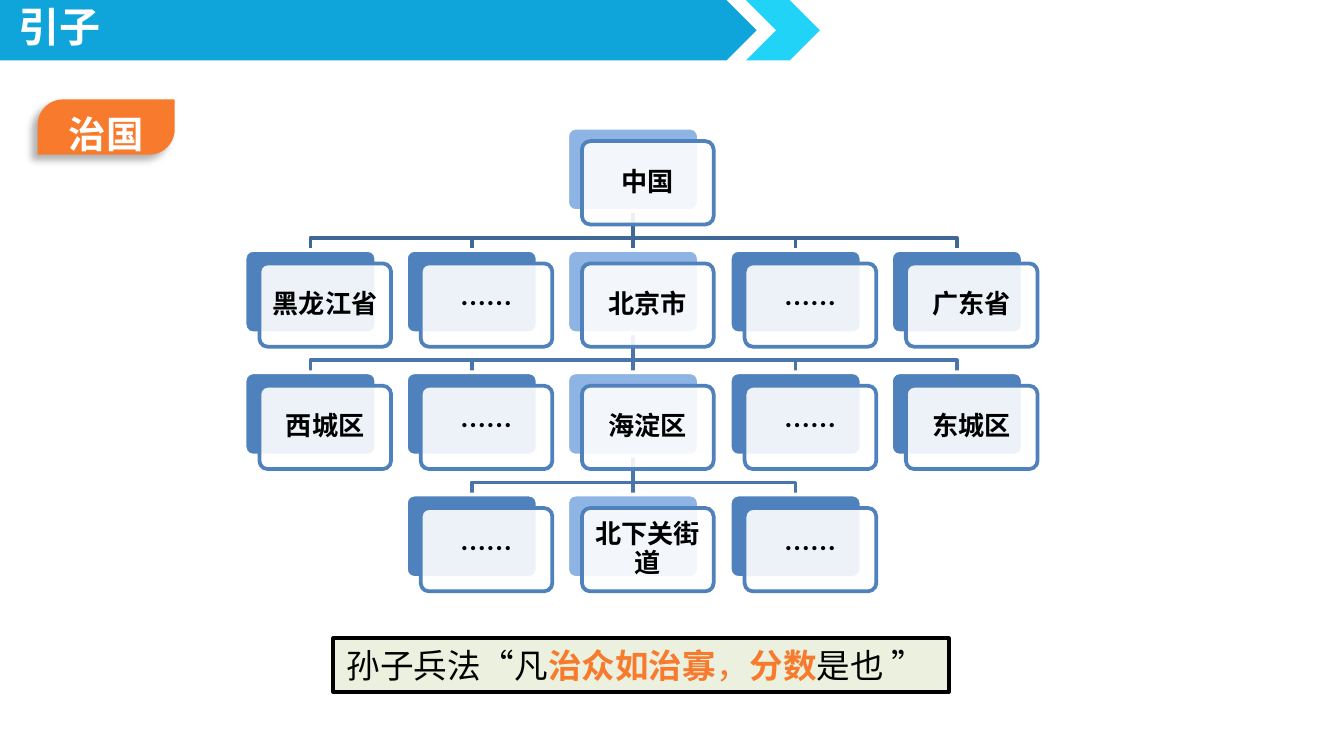
from lxml.etree import SubElement
from pptx import Presentation
from pptx.dml.color import RGBColor
from pptx.enum.shapes import MSO_CONNECTOR as Connector, MSO_SHAPE as Shape
from pptx.enum.text import MSO_ANCHOR as Anchor, MSO_AUTO_SIZE as AutoSize, PP_ALIGN as Align
from pptx.oxml.ns import qn
from pptx.util import Pt

PX = 9144
SLIDE_WIDTH = 1000
FONT = "Noto Sans CJK SC"
COLORS = {
    "banner": "10A5DA",
    "chevron": "21D3F7",
    "orange": "F77A2D",
    "white": "FFFFFF",
    "black": "000000",
    "blue": "4F81BD",
    "path": "8EB4E3",
    "top_link": "3F6797",
    "link": "4875AC",
    "quote": "EBF1DE",
}

TREE_LEFT, TREE_TOP = 182, 95
COLUMN_STEP, ROW_STEP = 120.2, 91
CARD_WIDTH, CARD_HEIGHT = 98, 62
CARD_SHIFT_X, CARD_SHIFT_Y = 11, 10
LINK_BEND = 20
PATH_COLUMN = 2
LEVELS = [
    {2: "中国"},
    {0: "黑龙江省", 1: "……", 2: "北京市", 3: "……", 4: "广东省"},
    {0: "西城区", 1: "……", 2: "海淀区", 3: "……", 4: "东城区"},
    {1: "……", 2: "北下关街道", 3: "……"},
]


def color(name):
    return RGBColor.from_string(COLORS[name])


def emu(*lengths):
    return [length * PX for length in lengths]


def add_box(slide, kind, box, fill, line=None, adjustments=()):
    shape = slide.shapes.add_shape(kind, *emu(*box))
    shape.shadow.inherit = False
    shape.fill.solid()
    shape.fill.fore_color.rgb = color(fill)
    if line:
        shape.line.color.rgb = color(line)
        shape.line.width = Pt(2)
    else:
        shape.line.fill.background()
    for index, value in enumerate(adjustments):
        shape.adjustments[index] = value
    return shape


def set_frame(shape, anchor=Anchor.TOP, wrap=True, grow=False, inset=None):
    frame = shape.text_frame
    frame.word_wrap = wrap
    frame.vertical_anchor = anchor
    frame.auto_size = AutoSize.SHAPE_TO_FIT_TEXT if grow else AutoSize.NONE
    if inset is not None:
        frame.margin_left = frame.margin_right = inset * PX
        frame.margin_top = frame.margin_bottom = inset * PX


def write(shape, runs, size, align=Align.LEFT, spacing=1.0):
    paragraph = shape.text_frame.paragraphs[0]
    paragraph.alignment = align
    paragraph.line_spacing = spacing
    for text, color_name, bold in runs:
        run = paragraph.add_run()
        run.text = text
        run.font.size = Pt(size)
        run.font.bold = bold
        run.font.color.rgb = color(color_name)
        run.font.name = FONT
        SubElement(run._r.get_or_add_rPr(), qn("a:ea"), typeface=FONT)


def set_opacity(shape, percent):
    fill_color = shape.element.spPr.find(qn("a:solidFill")).find(qn("a:srgbClr"))
    SubElement(fill_color, qn("a:alpha"), val=str(percent * 1000))


def add_shadow(shape):
    effects = shape.element.spPr.find(qn("a:effectLst"))
    shadow = SubElement(effects, qn("a:outerShdw"), blurRad=str(Pt(4)), dist=str(Pt(4)),
                        dir=str(135 * 60000), algn="tr", rotWithShape="0")
    shadow_color = SubElement(shadow, qn("a:srgbClr"), val=COLORS["black"])
    SubElement(shadow_color, qn("a:alpha"), val="29000")


def card_position(column, row):
    return TREE_LEFT + round(column * COLUMN_STEP), TREE_TOP + row * ROW_STEP


def add_link(slide, column, row):
    child_left, bottom = card_position(column, row)
    parent_left, parent_top = card_position(PATH_COLUMN, row - 1)
    start_x, end_x = parent_left + CARD_WIDTH // 2, child_left + CARD_WIDTH // 2
    top = parent_top + CARD_HEIGHT
    if column == PATH_COLUMN:
        link = slide.shapes.add_connector(Connector.STRAIGHT, *emu(start_x, top, end_x, bottom))
        SubElement(link.element.spPr, qn("a:effectLst"))
    else:
        bend = top + LINK_BEND
        builder = slide.shapes.build_freeform(*emu(start_x, top))
        corners = [(start_x, bend), (end_x, bend), (end_x, bottom)]
        builder.add_line_segments([emu(*corner) for corner in corners], close=False)
        link = builder.convert_to_shape()
        link.shadow.inherit = False
        link.fill.background()
    link.line.color.rgb = color("top_link" if row == 1 else "link")
    link.line.width = Pt(2)


def add_card(slide, column, row, text):
    left, top = card_position(column, row)
    back_fill = "path" if column == PATH_COLUMN else "blue"
    add_box(slide, Shape.ROUNDED_RECTANGLE, (left, top, CARD_WIDTH, CARD_HEIGHT),
            back_fill, "white", [0.1])
    front = add_box(slide, Shape.ROUNDED_RECTANGLE,
                    (left + CARD_SHIFT_X, top + CARD_SHIFT_Y, CARD_WIDTH, CARD_HEIGHT),
                    "white", "blue", [0.1])
    set_opacity(front, 90)
    set_frame(front, Anchor.MIDDLE, inset=7)
    write(front, [(text, "black", True)], 14, Align.CENTER, 0.9)


def add_tree(slide):
    for row, level in enumerate(LEVELS[1:], start=1):
        for column in level:
            add_link(slide, column, row)
    for row, level in enumerate(LEVELS):
        for column, text in level.items():
            add_card(slide, column, row, text)


def add_header(slide):
    title = slide.shapes.title
    banner = add_box(slide, Shape.PENTAGON, (0, 0, 563, 45), "banner")
    chevron = add_box(slide, Shape.CHEVRON, (555, 0, 55, 45), "chevron")
    for shape in (banner, chevron):
        title.element.addprevious(shape.element)
    title.left, title.top, title.width, title.height = emu(4, 3, 82, 40)
    set_frame(title, wrap=False, grow=True)
    write(title, [("引子", "white", True)], 22, spacing=0.8)


def add_quote(slide):
    quote = add_box(slide, Shape.RECTANGLE, (248, 475, 458, 40), "quote", "black")
    set_frame(quote, wrap=False, grow=True)
    write(quote, [
        ("孙子兵法“凡", "black", False),
        ("治众如治寡", "orange", True),
        ("，", "orange", False),
        ("分数", "orange", True),
        ("是也 ”", "black", False),
    ], 18)


def add_tag(slide):
    tag = add_box(slide, Shape.ROUND_2_DIAG_RECTANGLE, (28, 74, 102, 41),
                  "orange", adjustments=[0.46, 0])
    add_shadow(tag)
    label = slide.shapes.add_textbox(*emu(28, 61, 102, 61))
    set_frame(label, grow=True)
    write(label, [("治国", "white", True)], 20, Align.CENTER, 1.5)


def main():
    presentation = Presentation()
    presentation.slide_width = SLIDE_WIDTH * PX
    presentation.slide_height = SLIDE_WIDTH * PX * 9 // 16
    slide = presentation.slides.add_slide(presentation.slide_layouts[5])
    add_header(slide)
    add_tree(slide)
    add_quote(slide)
    add_tag(slide)
    presentation.save("out.pptx")


if __name__ == "__main__":
    main()
